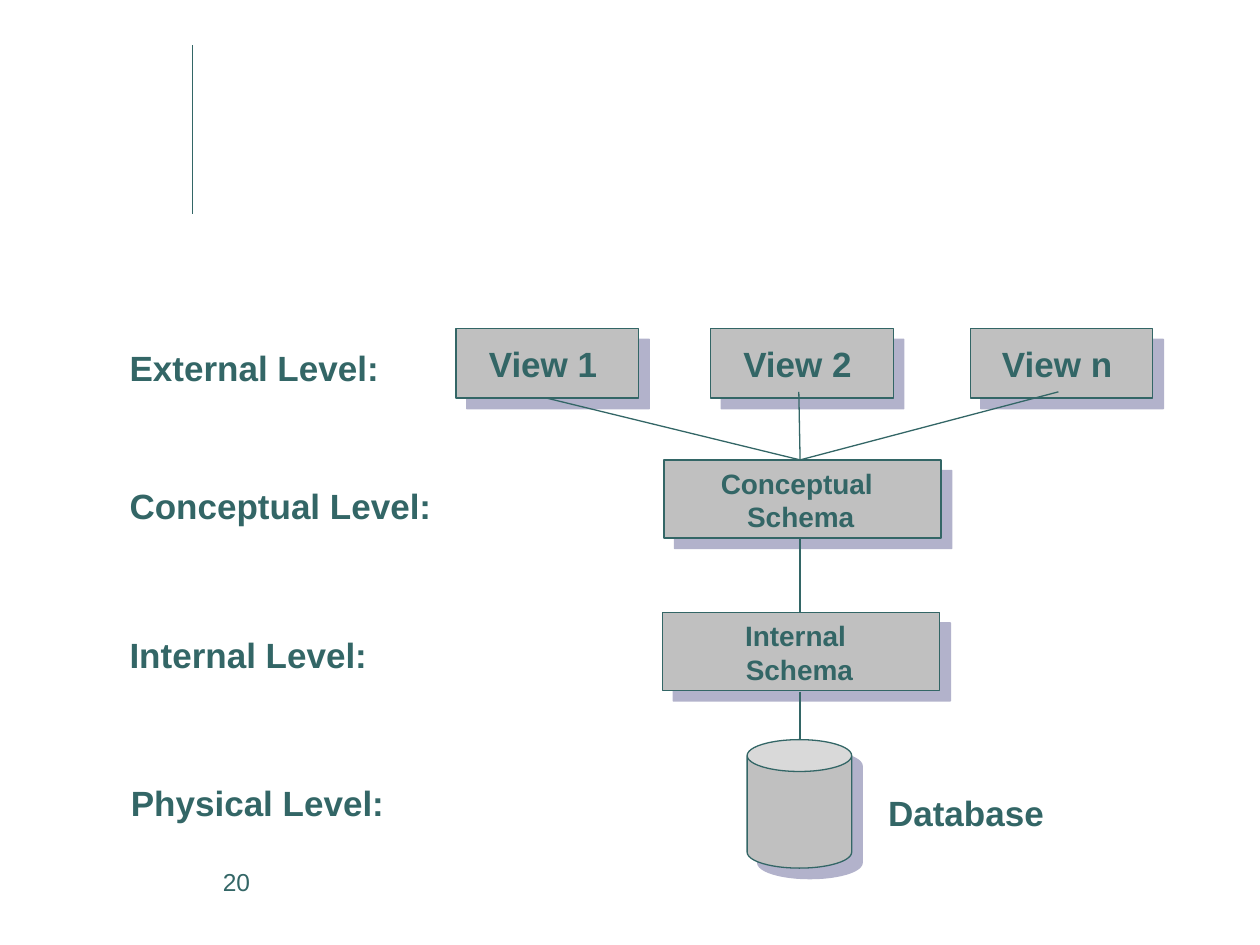
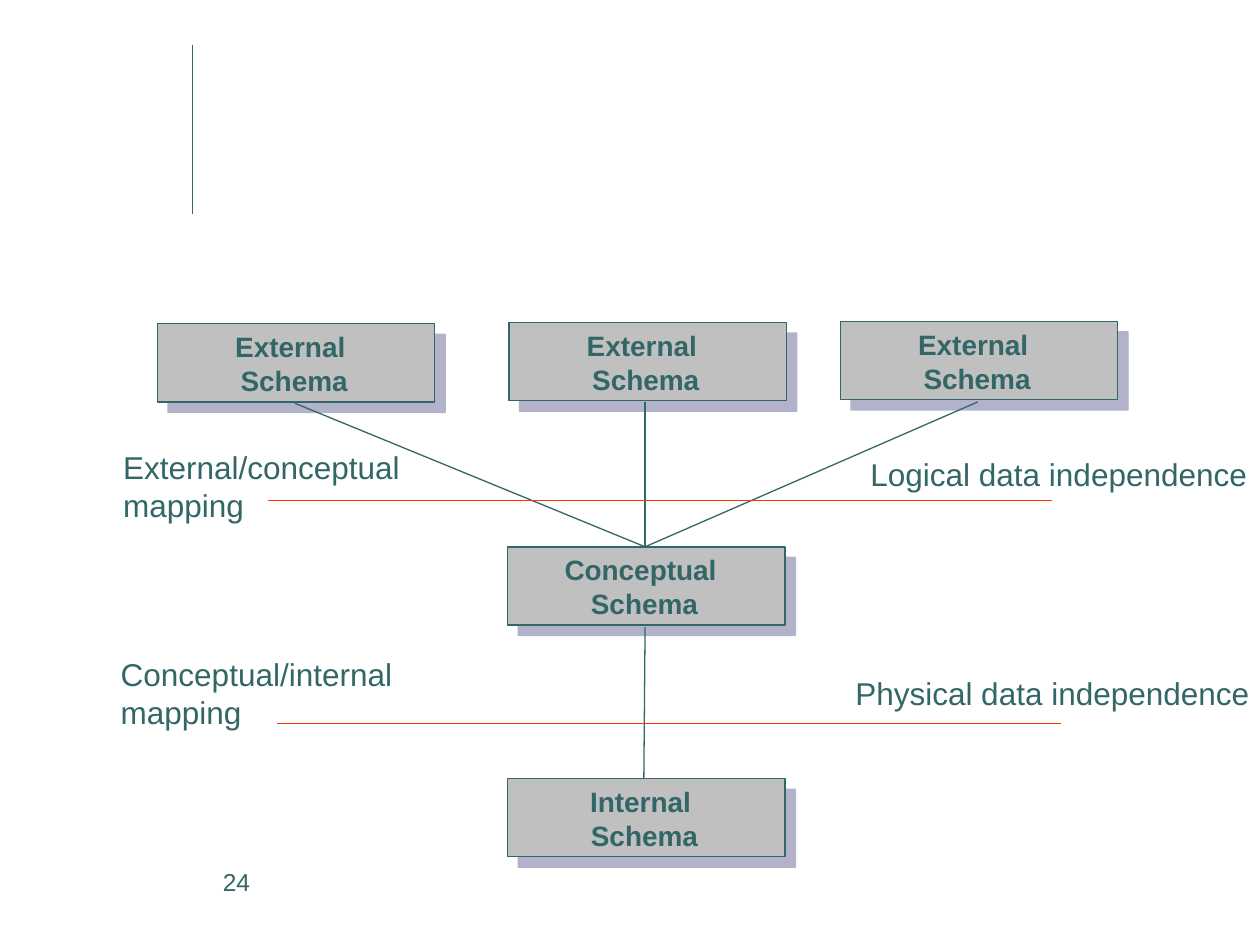
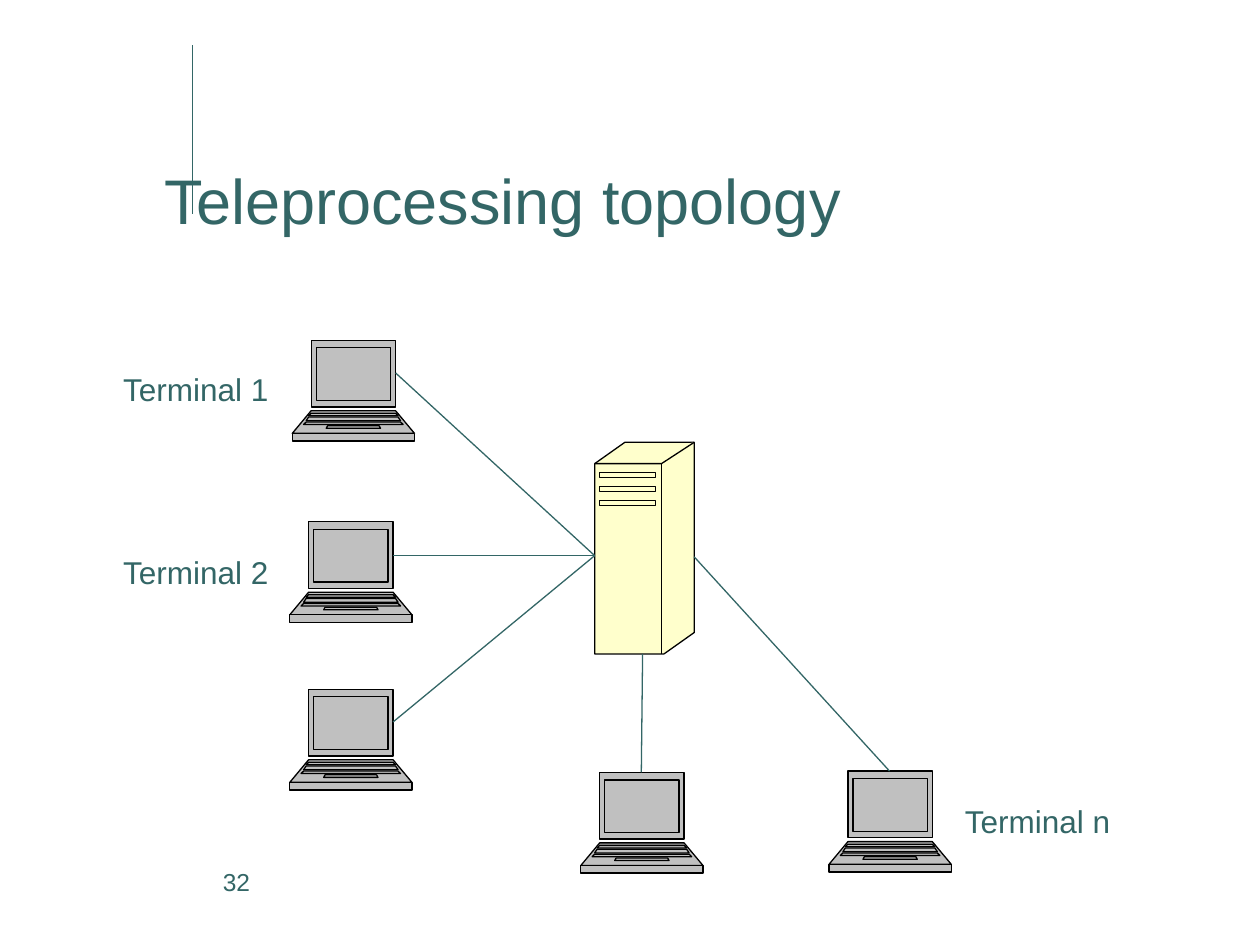
from copy import deepcopy
from pptx import Presentation
from pptx.dml.color import RGBColor
from pptx.enum.shapes import MSO_CONNECTOR, MSO_SHAPE
from pptx.enum.text import MSO_AUTO_SIZE, PP_ALIGN
from pptx.oxml import parse_xml
from pptx.oxml.ns import nsdecls, qn
from pptx.util import Inches, Pt

TEAL, GRAY, BLACK = "336666", "C0C0C0", "000000"
ORANGE, CREAM, SHADOW = "FF3300", "FFFFCC", "666699"
FONT = "Arial"

VIEW = {"size": (1.45, 0.55), "label": (0.12, 0.06, 1.14, 0.43), "font": 20, "wrap": False}
SCHEMA = {"size": (2.2, 0.62), "label": (0.2, 0, 1.77, 0.64), "font": 16, "wrap": True}

LEVELS = {
    "number": "20",
    "labels": [
        (["External Level: "], (0.93, 2.7, 2.25, 0.43)),
        (["Conceptual Level: "], (0.93, 3.8, 2.67, 0.43)),
        (["Internal Level: "], (0.93, 4.98, 2.16, 0.43)),
        (["Physical Level: "], (0.94, 6.15, 2.28, 0.43)),
        (["Database"], (6.95, 6.23, 1.44, 0.43)),
    ],
    "boxes": [
        (VIEW, ["View 1"], 3.62, 2.61),
        (VIEW, ["View 2"], 5.64, 2.61),
        (VIEW, ["View n"], 7.7, 2.61),
        (SCHEMA, ["Conceptual ", "Schema"], 5.27, 3.65),
        (SCHEMA, ["Internal ", "Schema"], 5.26, 4.86),
    ],
    "links": [
        ((4.34, 3.16), (6.35, 3.65)),
        ((8.4, 3.11), (6.35, 3.65)),
        ((6.34, 3.11), (6.35, 3.65)),
        ((6.35, 4.28), (6.35, 4.86)),
        ((6.35, 5.49), (6.35, 5.87)),
    ],
}
DATABASE = (5.93, 5.87, 0.83, 1.02)

MAPPINGS = {
    "number": "24",
    "labels": [
        (["External/conceptual ", "mapping"], (0.88, 3.51, 2.47, 0.7)),
        (["Conceptual/internal ", "mapping"], (0.86, 5.15, 2.42, 0.7)),
        (["Logical data independence"], (6.81, 3.56, 3.19, 0.4)),
        (["Physical data independence"], (6.69, 5.3, 3.33, 0.4)),
    ],
    "boxes": [
        (SCHEMA, ["Conceptual ", "Schema"], 4.03, 4.34),
        (SCHEMA, ["Internal ", "Schema"], 4.03, 6.18),
        (SCHEMA, ["External ", "Schema"], 1.25, 2.57),
        (SCHEMA, ["External ", "Schema"], 4.04, 2.56),
        (SCHEMA, ["External ", "Schema"], 6.67, 2.55),
    ],
    "links": [
        ((2.34, 3.2), (5.12, 4.34)),
        ((7.76, 3.19), (5.12, 4.34)),
        ((5.12, 3.19), (5.12, 4.34)),
        ((5.12, 4.98), (5.11, 6.18)),
    ],
}
BOUNDARIES = [((2.13, 3.97), (8.35, 3.97)), ((2.2, 5.74), (8.42, 5.74))]

TOPOLOGY = {
    "number": "32",
    "labels": [
        ("Teleprocessing topology", (1.21, 1.23, 6.15, 0.7), 36),
        ("Terminal 1", (0.88, 2.89, 1.36, 0.4), 18),
        ("Terminal 2", (0.88, 4.34, 1.4, 0.4), 18),
        ("Terminal n", (7.56, 6.32, 1.51, 0.4), 18),
    ],
    "laptops": [(2.3, 4.14), (2.3, 5.47), (2.32, 2.7), (4.61, 6.13), (6.58, 6.12)],
    "links": [
        ((3.14, 2.96), (4.72, 4.41)),
        ((3.12, 4.41), (4.72, 4.41)),
        ((3.12, 5.73), (4.72, 4.41)),
        ((5.09, 6.13), (5.1, 5.19)),
        ((7.06, 6.12), (5.51, 4.42)),
    ],
}
SERVER_AT = (4.72, 3.51)
LAPTOP_WIDTH = 0.97
LAPTOP_BANDS = [
    (0, 0.53, 0.15, 0.15),
    (0.56, 0.74, 0.15, 0),
    (0.74, 0.8, 0, 0),
    (0.06, 0.48, 0.19, 0.19),
    (0.58, 0.6, 0.15, 0.13),
    (0.68, 0.7, 0.28, 0.27),
    (0.61, 0.64, 0.13, 0.11),
    (0.65, 0.67, 0.11, 0.09),
]


def color(value):
    return RGBColor.from_string(value)


def paint(shape, fill, line):
    shape.fill.solid()
    shape.fill.fore_color.rgb = color(fill)
    shape.line.color.rgb = color(line)
    shape.line.width = Pt(0.75)
    shape.shadow.inherit = False


def drop_shadow(shape):
    effects = shape._element.spPr.find(qn("a:effectLst"))
    effects.append(parse_xml(
        f'<a:outerShdw {nsdecls("a")} blurRad="0" dist="{Pt(8.5)}" dir="2700000" '
        f'algn="ctr" rotWithShape="0"><a:srgbClr val="{SHADOW}">'
        '<a:alpha val="50000"/></a:srgbClr></a:outerShdw>'))


def add_text(shapes, lines, place, size, bold=False, align=None, wrap=False, grow=True, before=0):
    box = shapes.add_textbox(*map(Inches, place))
    frame = box.text_frame
    frame.word_wrap = wrap
    if grow:
        frame.auto_size = MSO_AUTO_SIZE.SHAPE_TO_FIT_TEXT
    for index, line in enumerate(lines):
        paragraph = frame.add_paragraph() if index else frame.paragraphs[0]
        paragraph.text = line
        paragraph.alignment = align
        if before:
            paragraph.space_before = Pt(before)
        paragraph.font.name = FONT
        paragraph.font.size = Pt(size)
        paragraph.font.bold = bold
        paragraph.font.color.rgb = color(TEAL)


def add_lines(page, ends, line=TEAL):
    for start, end in ends:
        connector = page.shapes.add_connector(MSO_CONNECTOR.STRAIGHT, *map(Inches, start + end))
        connector.line.color.rgb = color(line)
        connector.line.width = Pt(0.75)
        connector._element.spPr.append(parse_xml(f'<a:effectLst {nsdecls("a")}/>'))


def add_solid(shapes, kind, place):
    shape = shapes.add_shape(kind, *map(Inches, place))
    paint(shape, GRAY, TEAL)
    drop_shadow(shape)
    return shape


def add_box(page, style, lines, left, top):
    group = page.shapes.add_group_shape()
    add_solid(group.shapes, MSO_SHAPE.RECTANGLE, (left, top, *style["size"]))
    right, down, width, height = style["label"]
    add_text(group.shapes, lines, (left + right, top + down, width, height), style["font"],
             bold=True, align=PP_ALIGN.CENTER, wrap=style["wrap"])


def add_outline(page, origin, contours, fill):
    builder = None
    for points, close in contours:
        points = [(Inches(origin[0] + x), Inches(origin[1] + y)) for x, y in points]
        if builder is None:
            builder = page.shapes.build_freeform(*points[0], scale=1.0)
        else:
            builder.move_to(*points[0])
        builder.add_line_segments(points[1:], close=close)
    shape = builder.convert_to_shape()
    paint(shape, fill, BLACK)
    separate_contours(shape)


def separate_contours(shape):
    whole = next(shape._element.iter(qn("a:path")))
    holder = whole.getparent()
    steps = list(whole)
    for step in steps:
        whole.remove(step)
    for step in steps:
        if step.tag == qn("a:moveTo"):
            part = deepcopy(whole)
            holder.append(part)
        part.append(step)
    holder.remove(whole)


def band(top, bottom, top_inset, bottom_inset):
    return [(top_inset, top), (LAPTOP_WIDTH - top_inset, top),
            (LAPTOP_WIDTH - bottom_inset, bottom), (bottom_inset, bottom)], True


def server_contours():
    outline = [(0, 0.17), (0.24, 0), (0.79, 0), (0.79, 1.51), (0.55, 1.68), (0, 1.68)]
    edges = [[(0, 0.17), (0.53, 0.17), (0.79, 0)], [(0.53, 0.17), (0.53, 1.68)]]
    slots = [[(0.04, y), (0.48, y), (0.48, y + 0.04), (0.04, y + 0.04)]
             for y in (0.24, 0.35, 0.46)]
    return [(outline, True)] + [(edge, False) for edge in edges] + [(slot, True) for slot in slots]


def add_page(deck, number):
    page = deck.slides.add_slide(deck.slide_layouts[6])
    add_lines(page, [((1.53, 0.36), (1.53, 1.7))])
    add_text(page.shapes, [number], (1.67, 6.83, 1.42, 0.5), 14, wrap=True, grow=False)
    return page


def add_diagram(deck, content, size, bold):
    page = add_page(deck, content["number"])
    for lines, place in content["labels"]:
        add_text(page.shapes, lines, place, size, bold)
    for box in content["boxes"]:
        add_box(page, *box)
    add_lines(page, content["links"])
    return page


deck = Presentation()
deck.slide_width, deck.slide_height = Inches(10), Inches(7.5)

page = add_diagram(deck, LEVELS, 20, True)
cylinder = add_solid(page.shapes, MSO_SHAPE.CAN, DATABASE)
cylinder.adjustments[0] = 0.305

page = add_diagram(deck, MAPPINGS, 18, False)
add_lines(page, BOUNDARIES, ORANGE)

page = add_page(deck, TOPOLOGY["number"])
for origin in TOPOLOGY["laptops"]:
    add_outline(page, origin, [band(*sizes) for sizes in LAPTOP_BANDS], GRAY)
add_outline(page, SERVER_AT, server_contours(), CREAM)
add_lines(page, TOPOLOGY["links"])
for line, place, size in TOPOLOGY["labels"]:
    add_text(page.shapes, [line], place, size, wrap=True, before=size / 8)

deck.save("out.pptx")
